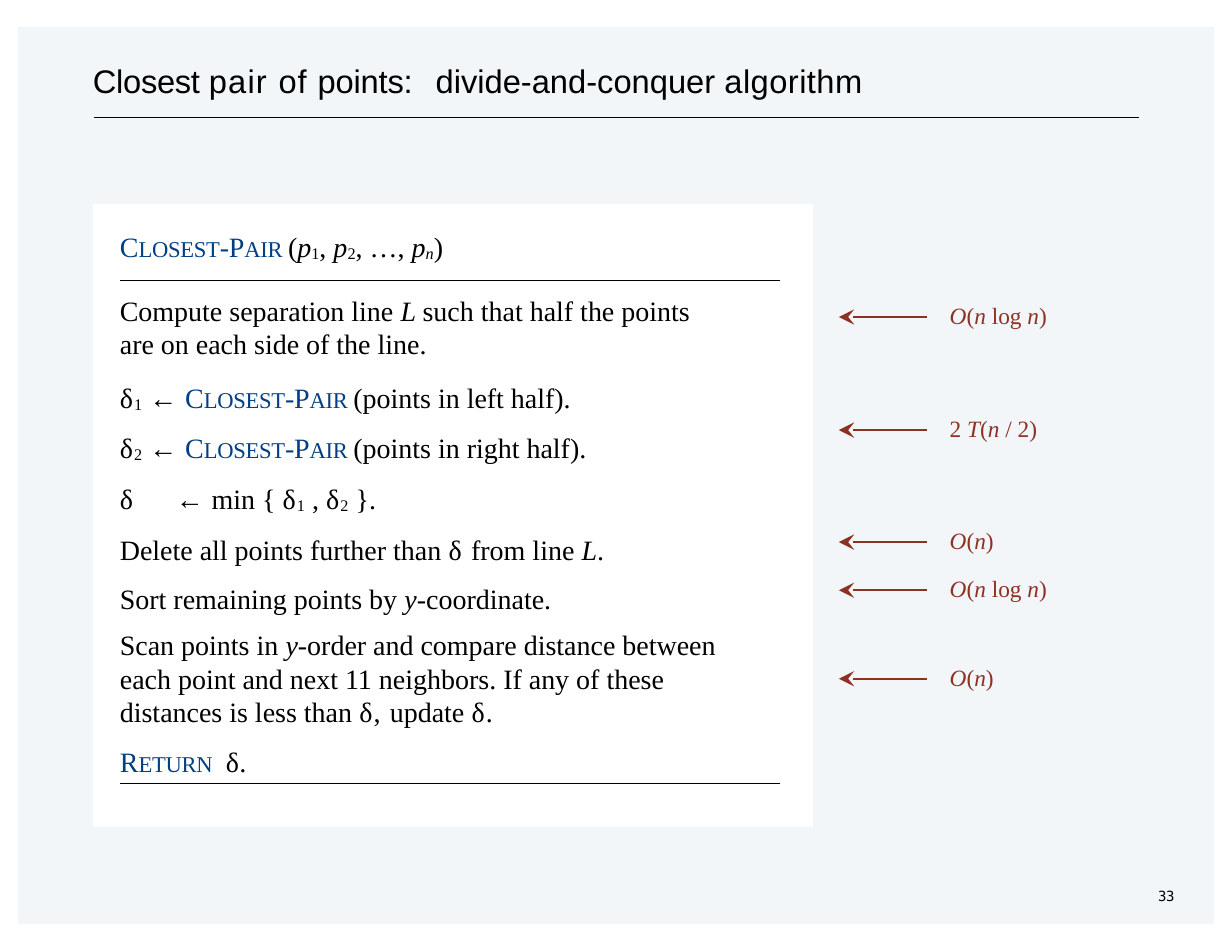
"""Build the closest-pair divide-and-conquer slide."""
import pptx
import pptx.dml.color
import pptx.enum.shapes
import pptx.enum.text
import pptx.util
from lxml import etree
from pptx.oxml.ns import qn
from pptx.util import Inches

THEME = {
    "black": "000000", "white": "FFFFFF", "blue": "003F83", "red": "8D3124", "tint": "005493",
    "serif": "Times New Roman", "sans": "Arial", "mono": "DejaVu Sans Mono",
    "title": 21, "body": 18, "caps": 14.5, "cost": 15, "page": 9,
}
STYLES = {
    "n": {},
    "i": {"slant": True},
    "d": {"track": 0.7},
    "s": {"track": 1, "base": -7},
    "h": {"base": -7},
    "hi": {"slant": True, "base": -7, "track": -0.4},
    "a": {"face": "sans"},
    "C": {"color": "blue", "track": -0.2},
    "c": {"color": "blue", "size": "caps", "track": -0.2},
    "gap": {"track": 4},
}


def write(para, text, face="serif", size="body", color="black", slant=False, track=0, base=0):
    """Add a run of text in the given format."""
    run = para.add_run()
    run.text = text
    font = run.font
    font.name = THEME[face]
    font.size = pptx.util.Pt(THEME[size])
    font.italic = slant
    font.color.rgb = pptx.dml.color.RGBColor.from_string(THEME[color])
    props = run._r.get_or_add_rPr()
    if track:
        props.set("spc", str(round(track * 100)))
    if base:
        props.set("baseline", str(base * 1000))


def rule(left, right, top, color="black", width=0.25):
    """Draw a level line and return its line properties."""
    line = slide.shapes.add_connector(
        pptx.enum.shapes.MSO_CONNECTOR.STRAIGHT,
        Inches(left), Inches(top), Inches(right), Inches(top))
    line.line.width = pptx.util.Pt(width)
    line.line.color.rgb = pptx.dml.color.RGBColor.from_string(THEME[color])
    etree.SubElement(line._element.spPr, qn("a:effectLst"))
    return line.line._get_or_add_ln()


deck = pptx.Presentation()
deck.slide_width, deck.slide_height = Inches(11), Inches(8.5)
slide = deck.slides.add_slide(deck.slide_layouts[1])
title, body = slide.placeholders

back = slide.shapes.add_shape(
    pptx.enum.shapes.MSO_SHAPE.RECTANGLE, Inches(0.16), Inches(0.24), Inches(10.68), Inches(8.01))
back.shadow.inherit = False
back.line.fill.background()
back.fill.solid()
back.fill.fore_color.rgb = pptx.dml.color.RGBColor.from_string(THEME["tint"])
tint = back._element.spPr.find(".//" + qn("a:srgbClr"))
etree.SubElement(tint, qn("a:alpha")).set("val", "5000")
slide.shapes._spTree.insert(2, back._element)

title.left, title.top, title.width, title.height = (
    Inches(0.82), Inches(0.52), Inches(6.95), Inches(0.38))
body.left, body.top, body.width, body.height = (
    Inches(0.83), Inches(1.82), Inches(6.43), Inches(5.56))
body.fill.solid()
body.fill.fore_color.rgb = pptx.dml.color.RGBColor.from_string(THEME["white"])

COSTS = [
    (2.83, [("O", "i"), ("(", "n"), ("n ", "i"), ("log ", "n"), ("n", "i"), (")", "n")]),
    (3.84, [("2 ", "n"), ("T", "i"), ("(", "n"), ("n ", "i"), ("/ 2)", "n")]),
    (4.84, [("O", "i"), ("(", "n"), ("n", "i"), (")", "n")]),
]
COSTS += [(5.27, COSTS[0][1]), (6.06, COSTS[2][1])]

boxes = [(title, 0.01, 0.02), (body, 0, 0.23)]
for mid, runs in COSTS:
    cost = slide.shapes.add_textbox(Inches(8.47), Inches(mid - 0.15), Inches(0.9), Inches(0.28))
    for text, style in runs:
        write(cost.text_frame.paragraphs[0], text, size="cost", color="red", **STYLES[style])
    boxes.append((cost, 0.01, 0.01))
    stroke = rule(8.28, 7.49, mid, "red", 1.5)
    etree.SubElement(stroke, qn("a:tailEnd"), type="stealth", w="lg", len="lg")

page = slide.shapes.add_textbox(Inches(10.3), Inches(7.91), Inches(0.26), Inches(0.18))
write(page.text_frame.paragraphs[0], "33", face="mono", size="page", track=-0.2)
boxes.append((page, 0.04, 0.01))

for box, left, top in boxes:
    frame = box.text_frame
    frame.auto_size = pptx.enum.text.MSO_AUTO_SIZE.NONE
    frame.vertical_anchor = pptx.enum.text.MSO_ANCHOR.TOP
    frame.word_wrap = box is body
    frame.margin_left, frame.margin_top = Inches(left), Inches(top)
    frame.margin_right = frame.margin_bottom = 0

head = title.text_frame.paragraphs[0]
head.alignment = pptx.enum.text.PP_ALIGN.LEFT
tabs = etree.SubElement(head._p.get_or_add_pPr(), qn("a:tabLst"))
etree.SubElement(tabs, qn("a:tab"), pos=str(Inches(3.06)), algn="l")
for text, track in [("Closest ", -0.2), ("pair ", 0.8), ("of ", 0.6), ("points:", -0.1),
                    ("\tdivide-and-conquer ", 0), ("algorithm", 0.3)]:
    write(head, text, face="sans", size="title", track=track)

CALL = [("C", "C"), ("LOSEST", "c"), ("-P", "C"), ("AIR ", "c")]
ARROW = ("← ", "a")
ONE, TWO = [[("δ", "d"), (num + " ", "s")] for num in "12"]
STEPS = [
    (0, CALL + [("(", "n"), ("p", "i"), ("1", "h"), (", ", "n"), ("p", "i"), ("2", "h"),
                (", …, ", "n"), ("p", "i"), ("n", "hi"), (")", "n")]),
    (18.8, [("Compute separation line ", "n"), ("L ", "i"),
            ("such that half the points\vare on each side of the line.", "n")]),
    (12.5, ONE + [ARROW] + CALL + [("(points in left half).", "n")]),
    (10.6, TWO + [ARROW] + CALL + [("(points in right half).", "n")]),
    (10.6, [("δ\t", "d"), ARROW, ("min { ", "n")] + ONE + [(", ", "n")] + TWO + [("}.", "n")]),
    (11.2, [("Delete all points further than ", "n"), ("δ ", "d"), ("from line ", "n"),
            ("L", "i"), (".", "n")]),
    (9.9, [("Sort remaining points by ", "n"), ("y", "i"), ("-coordinate.", "n")]),
    (7.4, [("Scan points in ", "n"), ("y", "i"),
           ("-order and compare distance between\veach point and next 11 neighbors. "
            "If any of these\vdistances is less than ", "n"),
           ("δ, ", "d"), ("update ", "n"), ("δ.", "d")]),
    (9.9, [("R", "C"), ("ETURN", "c"), (" ", "gap"), ("δ", "d"), (".", "i")]),
]
for num, (space, runs) in enumerate(STEPS):
    para = body.text_frame.add_paragraph() if num else body.text_frame.paragraphs[0]
    para.space_before = pptx.util.Pt(space)
    para.line_spacing = 1.01
    props = para._p.get_or_add_pPr()
    props.set("marL", str(Inches(0.24)))
    props.set("indent", "0")
    etree.SubElement(props, qn("a:buNone"))
    tabs = etree.SubElement(props, qn("a:tabLst"))
    etree.SubElement(tabs, qn("a:tab"), pos=str(Inches(0.52)), algn="l")
    for text, style in runs:
        for part, line in enumerate(text.split("\v")):
            if part:
                para.add_line_break()
            write(para, line, **STYLES[style])

rule(0.84, 10.17, 1.05, width=0.75)
for top in (2.5, 6.99):
    rule(1.07, 6.96, top)

deck.save("out.pptx")
